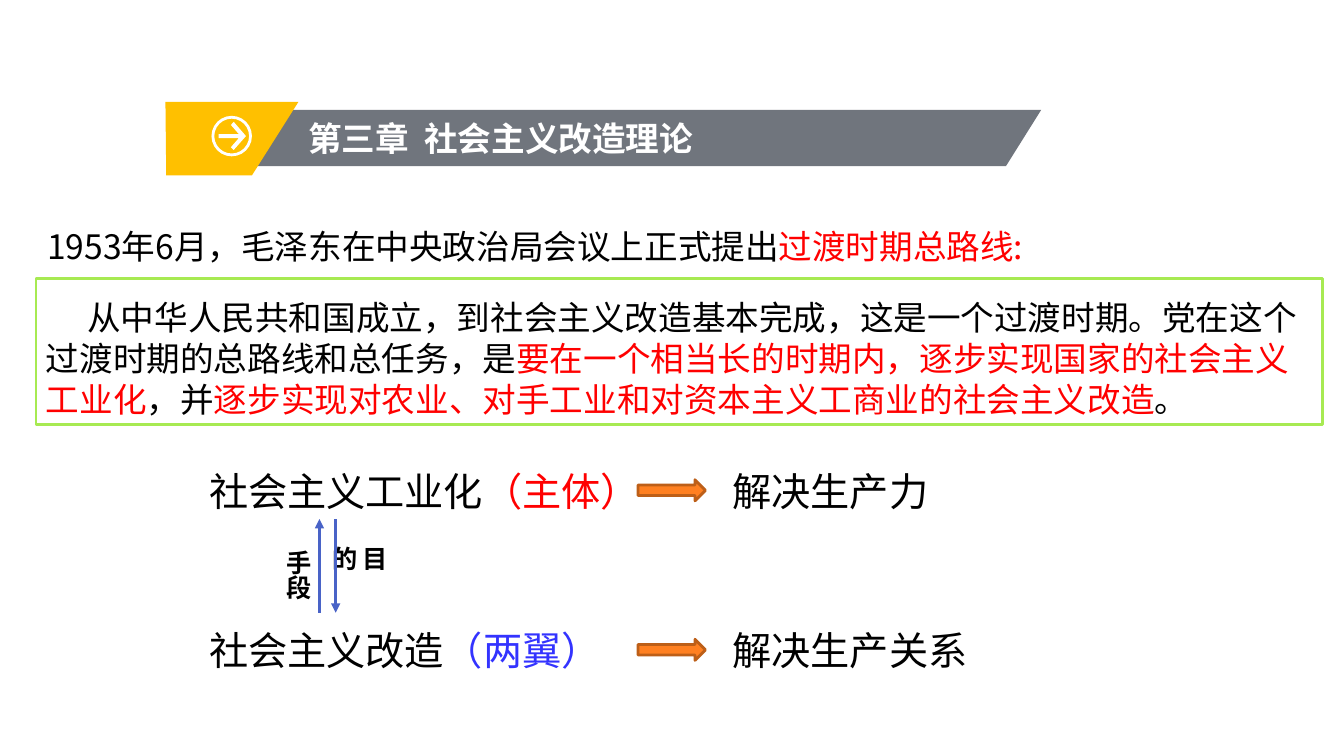
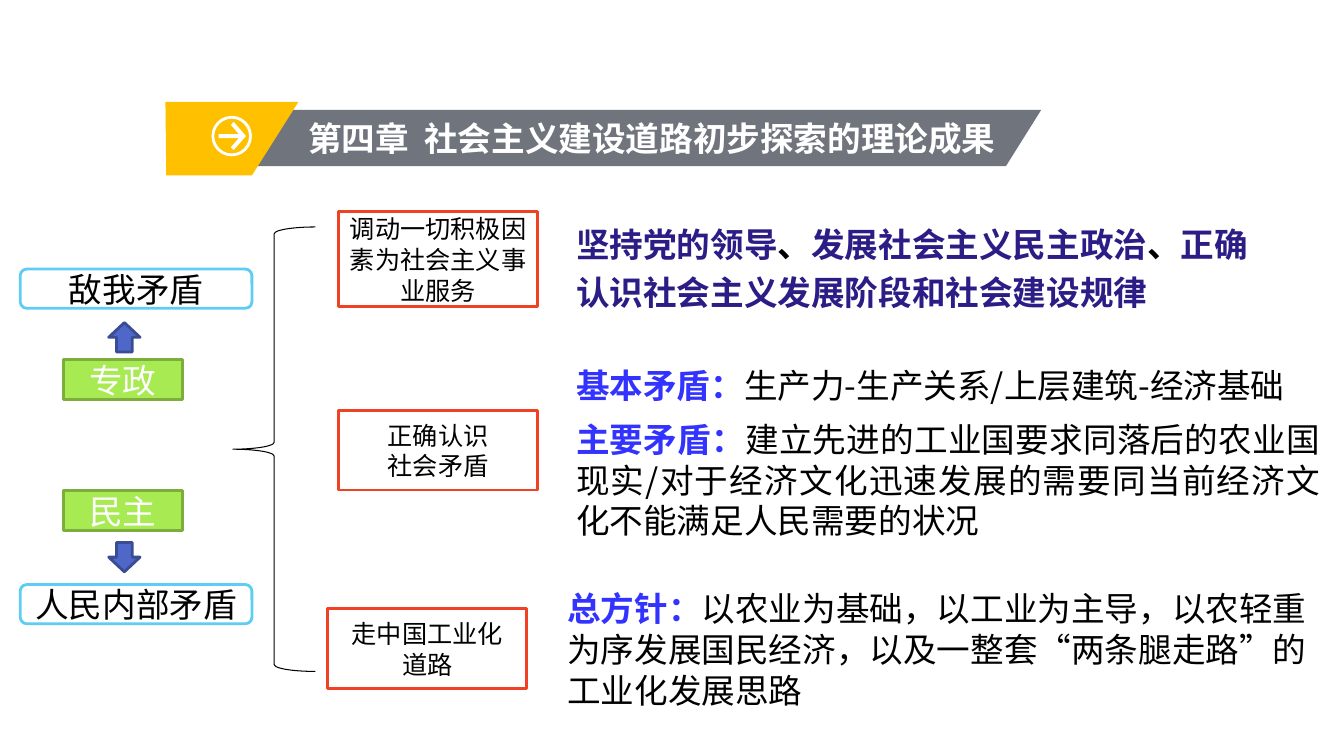
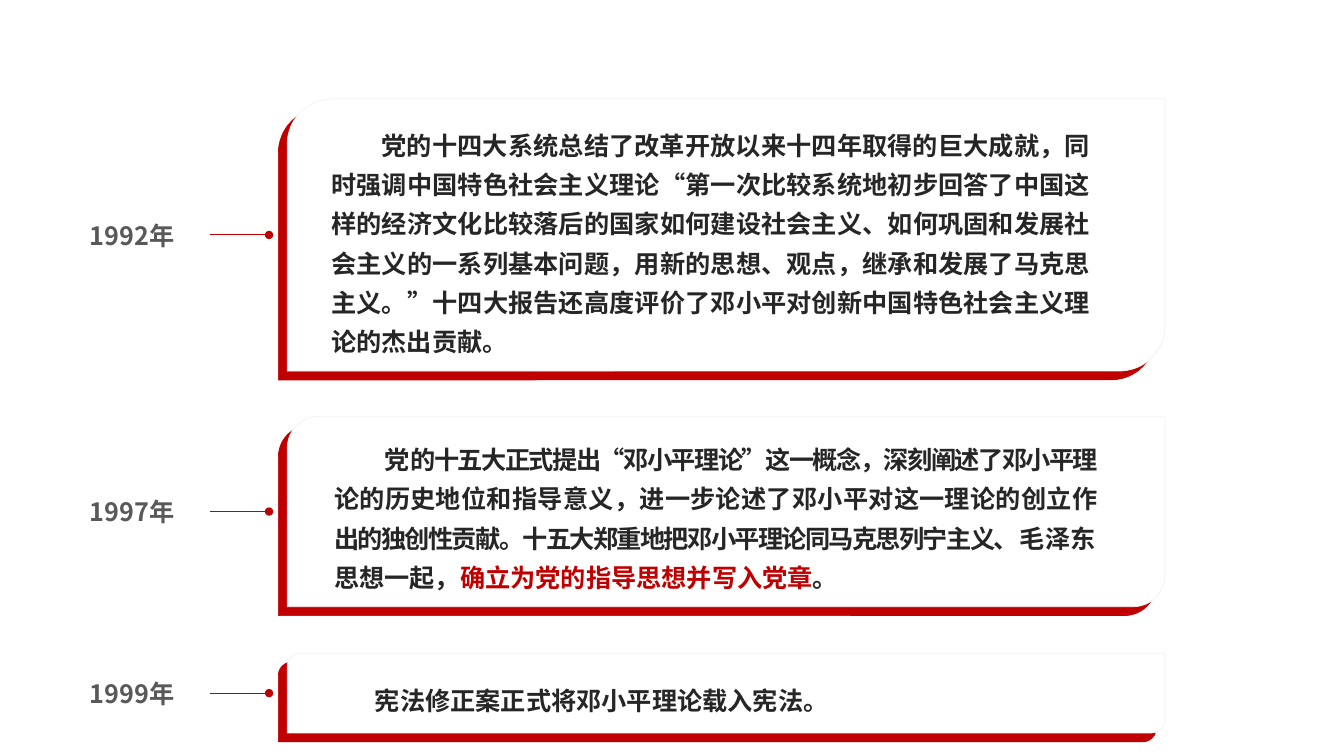
from lxml.etree import SubElement
from pptx import Presentation
from pptx.dml.color import RGBColor
from pptx.enum.shapes import MSO_CONNECTOR, MSO_SHAPE as Preset
from pptx.enum.text import MSO_ANCHOR as Anchor, PP_ALIGN as Align
from pptx.oxml.ns import qn
from pptx.util import Cm, Pt

WHITE = RGBColor(0xFF, 0xFF, 0xFF)
BLACK = RGBColor(0, 0, 0)
RED = RGBColor(0xFF, 0, 0)
BLUE = RGBColor(0x33, 0x33, 0xFF)
INDIGO = RGBColor(0x2C, 0x1D, 0x86)
BAND_GREY = RGBColor(0x70, 0x75, 0x7D)
GOLD = RGBColor(0xFF, 0xC0, 0)
LIME = RGBColor(0xA7, 0xEA, 0x52)
DARK_LIME = RGBColor(0x7C, 0xAD, 0x3D)
ORANGE = RGBColor(0xFF, 0x80, 0x21)
DARK_ORANGE = RGBColor(0xBD, 0x5F, 0x18)
VERMILION = RGBColor(0xF1, 0x41, 0x24)
SKY = RGBColor(0x5E, 0xCC, 0xF3)
ROYAL = RGBColor(0x4E, 0x67, 0xC8)
DARK_ROYAL = RGBColor(0x3A, 0x4C, 0x94)
LINK_BLUE = RGBColor(0x49, 0x63, 0xC7)
CRIMSON = RGBColor(0xC0, 0, 0)
CARD_EDGE = RGBColor(0xF2, 0xF2, 0xF2)
INK = RGBColor(0x26, 0x26, 0x26)
YEAR_GREY = RGBColor(0x59, 0x59, 0x59)
FONT = "Noto Sans CJK SC"


def write(shape, *paragraphs, size=24, color=BLACK, bold=False, font=FONT,
          align=Align.LEFT, anchor=Anchor.TOP, wrap=True, leading=1.22,
          before=0, indent=0):
    frame = shape.text_frame
    frame.word_wrap = wrap
    frame.vertical_anchor = anchor
    for index, runs in enumerate(paragraphs):
        paragraph = frame.add_paragraph() if index else frame.paragraphs[0]
        paragraph.alignment = align
        paragraph.line_spacing = Pt(size * leading)
        if index and before:
            paragraph.space_before = Pt(before)
        if indent:
            paragraph._p.get_or_add_pPr().set("indent", str(Cm(indent)))
        for words, style in [(runs, {})] if isinstance(runs, str) else runs:
            run = paragraph.add_run()
            run.text = words
            run.font.size = Pt(size)
            run.font.bold = style.get("bold", bold)
            run.font.color.rgb = style.get("color", color)
            run.font.name = font
            props = run._r.get_or_add_rPr()
            SubElement(props, qn("a:ea")).set("typeface", font)
            if "spacing" in style:
                props.set("spc", str(round(style["spacing"] * 100)))
    return shape


def paint(shape, fill=None, line=None, width=2):
    shape.shadow.inherit = False
    if fill is None:
        shape.fill.background()
    else:
        shape.fill.solid()
        shape.fill.fore_color.rgb = fill
    if line is None:
        shape.line.fill.background()
    else:
        shape.line.color.rgb = line
        shape.line.width = Pt(width)
    return shape


deck = Presentation()
deck.slide_width, deck.slide_height = Cm(33.87), Cm(19.05)
route, theory, timeline = [deck.slides.add_slide(deck.slide_layouts[6]).shapes for _ in range(3)]

BAND = [(4.37, 2.77), (26.24, 2.77), (25.35, 4.19), (4.37, 4.19)]
TAB = [(4.17, 2.57), (7.52, 2.57), (6.35, 4.42), (4.19, 4.42)]
POINTER = [(5.89, 3.78), (5.82, 3.71), (6.02, 3.48), (5.51, 3.48), (5.51, 3.38),
           (6.02, 3.38), (5.82, 3.15), (5.89, 3.07), (6.2, 3.43)]

for shapes, chapter, heading, heading_width in [
    (route, "第三章", "社会主义改造理论", 10.36),
    (theory, "第四章", "社会主义建设道路初步探索的理论成果", 18.01),
]:
    for outline, color in [(BAND, BAND_GREY), (TAB, GOLD), (POINTER, WHITE)]:
        corners = [(Cm(x), Cm(y)) for x, y in outline]
        builder = shapes.build_freeform(*corners[0], scale=1.0)
        builder.add_line_segments(corners[1:], close=True)
        paint(builder.convert_to_shape(), color)
    ring = paint(shapes.add_shape(Preset.DONUT, Cm(5.33), Cm(2.92), Cm(1.02), Cm(1.02)), WHITE)
    ring.adjustments[0] = 0.07
    write(shapes.add_textbox(Cm(7.52), Cm(2.84), Cm(heading_width), Cm(1.27)),
          [(chapter, {}), (" ", {"spacing": 5.4}), (heading, {})],
          color=WHITE, bold=True, wrap=False)

write(route.add_textbox(Cm(0.94), Cm(5.54), Cm(26.31), Cm(1.27)),
      [("1953年6月，毛泽东在中央政治局会议上正式提出", {}),
       ("过渡时期总路线:", {"color": RED})], font="Noto Sans CJK JP")

general_line = paint(route.add_shape(Preset.RECTANGLE, Cm(0.91), Cm(7.01), Cm(32.41), Cm(3.68)),
                     WHITE, LIME)
write(general_line, [
    ("从中华人民共和国成立，到社会主义改造基本完成，这是一个过渡时期。党在这个过渡时期的总路线和总任务，是", {}),
    ("要在一个相当长的时期内，逐步实现国家的社会主义工业化", {"color": RED}),
    ("，并", {}),
    ("逐步实现对农业、对手工业和对资本主义工商业的社会主义改造", {"color": RED}),
    ("。", {}),
], indent=1.04)
general_line.text_frame.margin_top = Cm(0.45)

for top, task, task_width, role, role_color, result, result_width in [
    (11.63, "社会主义工业化", 11.48, "（主体）", RED, "解决生产力", 5.49),
    (15.65, "社会主义改造", 10.49, "（两翼）", BLUE, "解决生产关系", 6.5),
]:
    write(route.add_textbox(Cm(5.02), Cm(top), Cm(task_width), Cm(1.45)),
          [(task, {}), (role, {"color": role_color})], size=28, wrap=False)
    paint(route.add_shape(Preset.RIGHT_ARROW, Cm(16.08), Cm(top + 0.46), Cm(1.7), Cm(0.53)),
          ORANGE, DARK_ORANGE)
    write(route.add_textbox(Cm(18.21), Cm(top), Cm(result_width), Cm(1.45)),
          result, size=28, wrap=False)

links = [(route, 8.46, 13.08, 8.46, 15.44, LINK_BLUE, 2.25, "triangle"),
         (route, 8.05, 15.44, 8.05, 13.08, LINK_BLUE, 2.25, "triangle")]

for left, top, height, relation, wrap in [
    (6.76, 13.61, 1.52, "手段", False),
    (8.69, 13.51, 1.7, "目的", True),
]:
    label = write(route.add_textbox(Cm(left), Cm(top), Cm(1.27), Cm(height)),
                  relation, size=18, bold=True, wrap=wrap)
    label.text_frame._txBody.bodyPr.set("vert", "eaVert")

paint(theory.add_shape(Preset.LEFT_BRACE, Cm(5.87), Cm(5.72), Cm(2.08), Cm(11.2)),
      line=BLACK, width=0.75)

for left, top, height, lines in [
    (8.53, 5.33, 2.39, ["调动一切积极因素为社会主义事业服务"]),
    (8.53, 10.34, 2.01, ["正确认识", "社会矛盾"]),
    (8.26, 15.34, 2.01, ["走中国工业化", "道路"]),
]:
    topic = theory.add_shape(Preset.RECTANGLE, Cm(left), Cm(top), Cm(5.02), Cm(height))
    write(paint(topic, WHITE, VERMILION), *lines, size=18,
          align=Align.CENTER, anchor=Anchor.MIDDLE)

comma = ("、", {"color": BLACK})
write(theory.add_textbox(Cm(14.27), Cm(5.33), Cm(18.06), Cm(2.57)),
      [("坚持党的领导", {}), comma, ("发展社会主义民主政治", {}), comma,
       ("正确认识社会主义发展阶段和社会建设规律", {})],
      color=INDIGO, bold=True, leading=1.43)

term = {"color": BLUE, "bold": True}
write(theory.add_textbox(Cm(14.27), Cm(9.07), Cm(19.25), Cm(4.72)),
      [("基本矛盾：", term), ("生产力-生产关系/上层建筑-经济基础", {})],
      [("主要矛盾：", term),
       ("建立先进的工业国要求同落后的农业国现实/对于经济文化迅速发展的需要同当前经济文化不能满足人民需要的状况", {})],
      align=Align.JUSTIFY, before=10, leading=1.2)
write(theory.add_textbox(Cm(14.05), Cm(14.68), Cm(19.38), Cm(3.33)),
      [("总方针：", term),
       ("以农业为基础，以工业为主导，以农轻重为序发展国民经济，以及一整套“两条腿走路”的工业化发展思路", {})])

for kind, kind_top, arrow, arrow_top, method, method_top in [
    ("敌我矛盾", 6.78, Preset.UP_ARROW, 8.13, "专政", 9.07),
    ("人民内部矛盾", 14.73, Preset.DOWN_ARROW, 13.67, "民主", 12.37),
]:
    contradiction = theory.add_shape(Preset.ROUNDED_RECTANGLE, Cm(0.51), Cm(kind_top), Cm(5.84), Cm(0.99))
    write(paint(contradiction, WHITE, SKY), kind, align=Align.CENTER, anchor=Anchor.MIDDLE)
    paint(theory.add_shape(arrow, Cm(2.74), Cm(arrow_top), Cm(0.79), Cm(0.74)), ROYAL, DARK_ROYAL)
    approach = theory.add_shape(Preset.FLOWCHART_PROCESS, Cm(1.6), Cm(method_top), Cm(3), Cm(0.99))
    write(paint(approach, LIME, DARK_LIME), method, color=WHITE,
          align=Align.CENTER, anchor=Anchor.MIDDLE)

tight, normal = {"spacing": -1.5}, {"spacing": 0}
for year, top, height, passage_box, indent, passage in [
    ("1992年", 2.49, 6.86, (7.77, 2.59, 20.29, 6.76), 1.27,
     "党的十四大系统总结了改革开放以来十四年取得的巨大成就，同时强调中国特色社会主义理论“第一次比较系统地初步回答了中国这样的经济文化比较落后的国家如何建设社会主义、如何巩固和发展社会主义的一系列基本问题，用新的思想、观点，继承和发展了马克思主义。”十四大报告还高度评价了邓小平对创新中国特色社会主义理论的杰出贡献。"),
    ("1997年", 10.49, 4.8, (7.95, 10.62, 20.14, 4.55), 1.27, [
        ("党", normal),
        ("的十五大正式提出“邓小平理论”这一概念，深刻阐述了邓小平理论", tight),
        ("的历史地位和指导意义，进一步论述了邓小平对这一理论的创立", normal),
        ("作出的独创性贡献。十五大郑重地把邓小平理论同马克思列宁主义、", tight),
        ("毛泽东思想一起，", normal),
        ("确立为党的指导思想并写入党章", {"color": CRIMSON}),
        ("。", normal)]),
    ("1999年", 16.46, 2.01, (7.72, 16.84, 20.75, 1.4), 1.41,
     "宪法修正案正式将邓小平理论载入宪法。"),
]:
    middle = top + height / 2
    write(timeline.add_textbox(Cm(1.09), Cm(middle - 0.51), Cm(4.47), Cm(1.02)),
          year, size=18, color=YEAR_GREY, bold=True, align=Align.CENTER)
    links.append((timeline, 5.28, middle, 6.78, middle, CRIMSON, 0.75, "oval"))
    card = paint(timeline.add_shape(Preset.ROUND_2_DIAG_RECTANGLE, Cm(7.24), Cm(top), Cm(22.12), Cm(height)),
                 WHITE, CARD_EDGE, 0.5)
    shade = SubElement(card._element.spPr.find(qn("a:effectLst")), qn("a:outerShdw"),
                       blurRad="0", dist=str(Pt(9)), dir="8100000", algn="tr", rotWithShape="0")
    SubElement(shade, qn("a:srgbClr"), val=str(CRIMSON))
    passage_area = timeline.add_shape(Preset.ROUND_2_DIAG_RECTANGLE, *map(Cm, passage_box))
    write(paint(passage_area), passage, size=18, color=INK, bold=True,
          align=Align.JUSTIFY, leading=1.56, indent=indent)

for shapes, x1, y1, x2, y2, color, width, tip in links:
    link = shapes.add_connector(MSO_CONNECTOR.STRAIGHT, Cm(x1), Cm(y1), Cm(x2), Cm(y2))
    link.line.color.rgb = color
    link.line.width = Pt(width)
    SubElement(link.line._get_or_add_ln(), qn("a:tailEnd"), type=tip)
    SubElement(link._element.spPr, qn("a:effectLst"))

deck.save("out.pptx")
